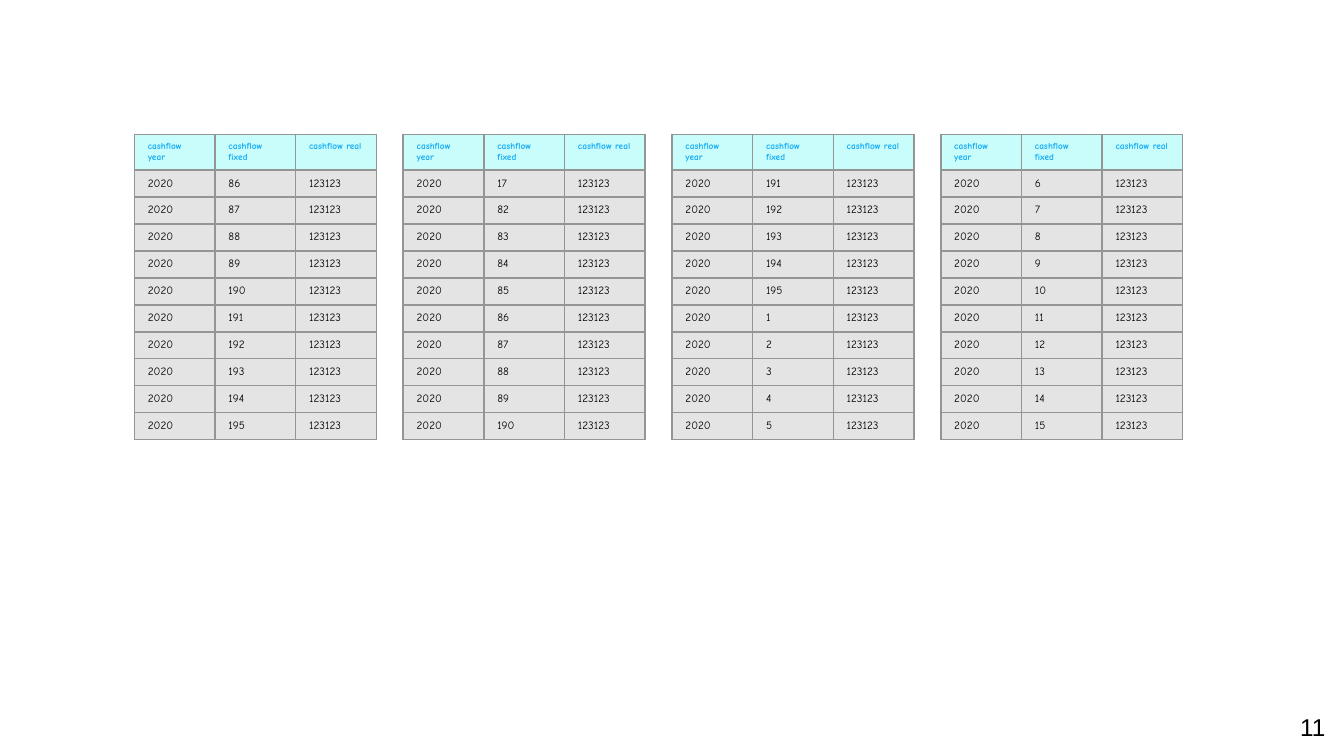
"""Builds a slide with four cashflow tables side by side."""
import dataclasses
import typing

import lxml.etree
import pptx
import pptx.dml.color
import pptx.enum.text
import pptx.oxml.ns
import pptx.util

Inches = pptx.util.Inches
SLIDE_WIDTH = Inches(10)
SLIDE_HEIGHT = SLIDE_WIDTH * 9 // 16
GRID_COLUMN = SLIDE_WIDTH // 10
TABLE_SPAN = 2  # grid columns from one table to the next
CELL_WIDTH = Inches(0.6)
COMPACT_HEIGHT = Inches(0.04)  # rows grow to fit their text


@dataclasses.dataclass(frozen=True)
class TextStyle:
    """Font, size and colour of a piece of text."""
    name: str
    size: float
    color: str
    bold: bool = False


@dataclasses.dataclass(frozen=True)
class Theme:
    """Colours and type sizes of the slide."""
    heading: TextStyle = TextStyle("Comic Neue", 5, "13AAF6", True)
    body: TextStyle = TextStyle("Comic Neue", 6, "000000")
    page_number: TextStyle = TextStyle("Arial", 13, "000000")
    heading_fill: str = "C8FDFB"
    body_fill: str = "E4E4E4"
    border: str = "949595"
    border_width: float = 0.94


@dataclasses.dataclass(frozen=True)
class CashflowTable:
    """Position in the row of tables and the fixed cashflow values."""
    position: int
    fixed: typing.Sequence[int]


THEME = Theme()
HEADINGS = ("cashflow year", "cashflow fixed", "cashflow real")
YEAR, REAL = "2020", "123123"
CASHFLOWS = (
    CashflowTable(0, [*range(86, 90), *range(190, 196)]),
    CashflowTable(1, [17, *range(82, 90), 190]),
    CashflowTable(2, [*range(191, 196), *range(1, 6)]),
    CashflowTable(3, range(6, 16)),
)


def write(paragraph: typing.Any, wording: str, style: TextStyle) -> None:
    """Add the wording to a paragraph in the given style."""
    run = paragraph.add_run()
    run.text = wording
    formats = {"name": style.name, "size": pptx.util.Pt(style.size), "bold": style.bold}
    for attribute, value in formats.items():
        setattr(run.font, attribute, value)
    run.font.color.rgb = pptx.dml.color.RGBColor.from_string(style.color)


def add_borders(cell: typing.Any) -> None:
    """Draw the theme border on all four sides of a cell."""
    qn = pptx.oxml.ns.qn
    properties = cell._tc.get_or_add_tcPr()
    for order, side in enumerate(("a:lnL", "a:lnR", "a:lnT", "a:lnB")):
        line = lxml.etree.Element(qn(side), w=str(pptx.util.Pt(THEME.border_width)))
        fill = lxml.etree.SubElement(line, qn("a:solidFill"))
        lxml.etree.SubElement(fill, qn("a:srgbClr"), val=THEME.border)
        properties.insert(order, line)


def fill_cell(cell: typing.Any, wording: str, style: TextStyle, fill: str) -> None:
    """Write and colour one table cell."""
    write(cell.text_frame.paragraphs[0], wording, style)
    cell.fill.solid()
    cell.fill.fore_color.rgb = pptx.dml.color.RGBColor.from_string(fill)
    add_borders(cell)


def add_cashflow(slide: typing.Any, cashflow: CashflowTable) -> None:
    """Add one cashflow table at its place in the grid."""
    rows = [HEADINGS, *((YEAR, str(fixed), REAL) for fixed in cashflow.fixed)]
    left = GRID_COLUMN * (1 + TABLE_SPAN * cashflow.position)
    frame = slide.shapes.add_table(
        len(rows), len(HEADINGS), left, GRID_COLUMN,
        CELL_WIDTH * len(HEADINGS), COMPACT_HEIGHT)
    table = frame.table
    table.horz_banding = False
    for row_index, row in enumerate(rows):
        table.rows[row_index].height = 0
        style, fill = ((THEME.body, THEME.body_fill) if row_index
                       else (THEME.heading, THEME.heading_fill))
        for column_index, wording in enumerate(row):
            fill_cell(table.cell(row_index, column_index), wording, style, fill)
    frame.height = COMPACT_HEIGHT


def add_page_number(slide: typing.Any, number: str) -> None:
    """Add the page number in the bottom right corner."""
    height = Inches(0.43)
    frame = slide.shapes.add_textbox(
        Inches(9.36), SLIDE_HEIGHT - height, CELL_WIDTH, height).text_frame
    inset = Inches(0.1)
    formats = {
        "word_wrap": True,
        "vertical_anchor": pptx.enum.text.MSO_ANCHOR.MIDDLE,
        "margin_left": inset, "margin_right": inset,
        "margin_top": inset, "margin_bottom": inset,
    }
    for attribute, value in formats.items():
        setattr(frame, attribute, value)
    paragraph = frame.paragraphs[0]
    paragraph.alignment = pptx.enum.text.PP_ALIGN.RIGHT
    write(paragraph, number, THEME.page_number)


def main() -> None:
    """Build and save the presentation."""
    presentation = pptx.Presentation()
    presentation.slide_width, presentation.slide_height = SLIDE_WIDTH, SLIDE_HEIGHT
    slide = presentation.slides.add_slide(presentation.slide_layouts[6])
    add_page_number(slide, "11")
    for cashflow in CASHFLOWS:
        add_cashflow(slide, cashflow)
    presentation.save("out.pptx")


main()
